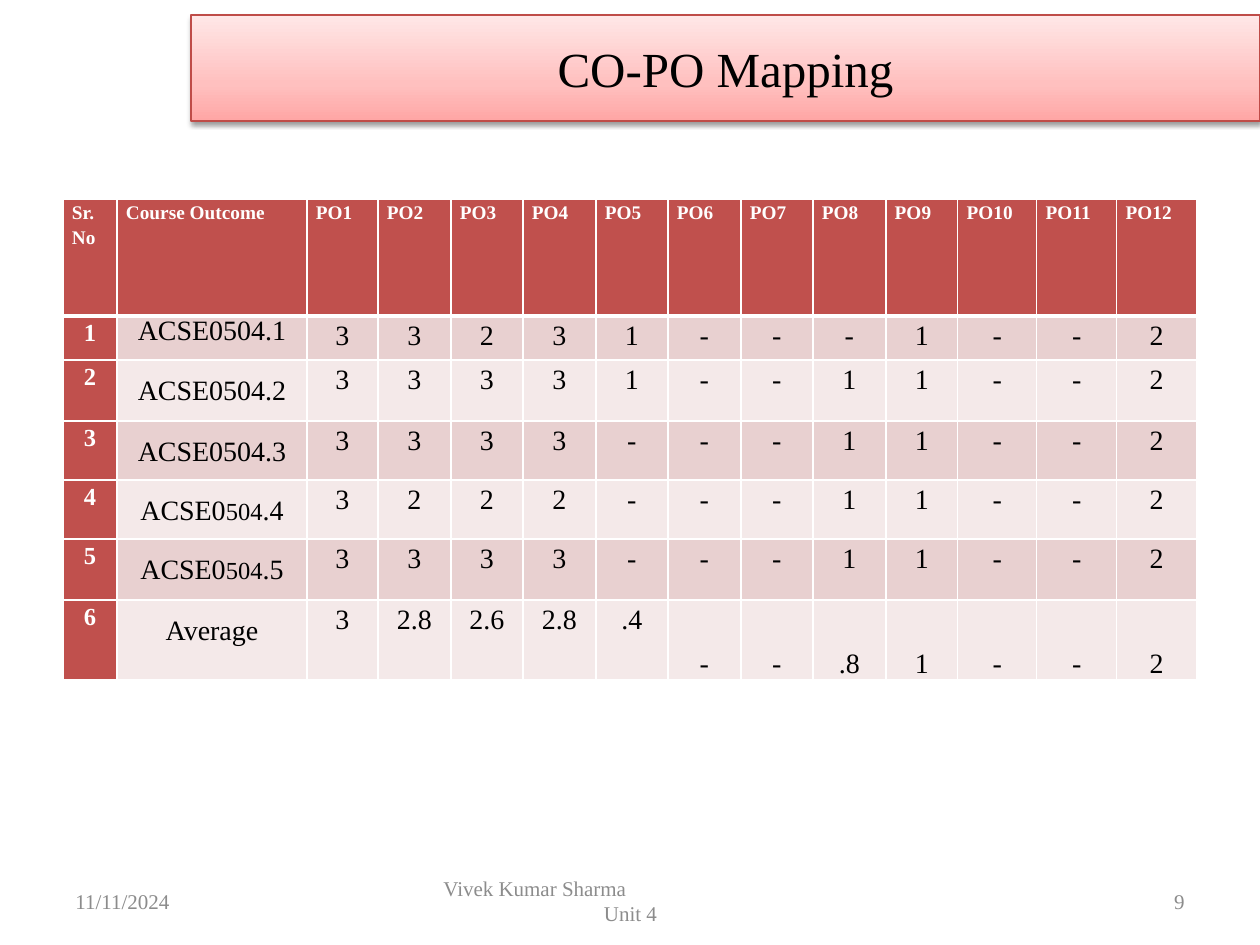
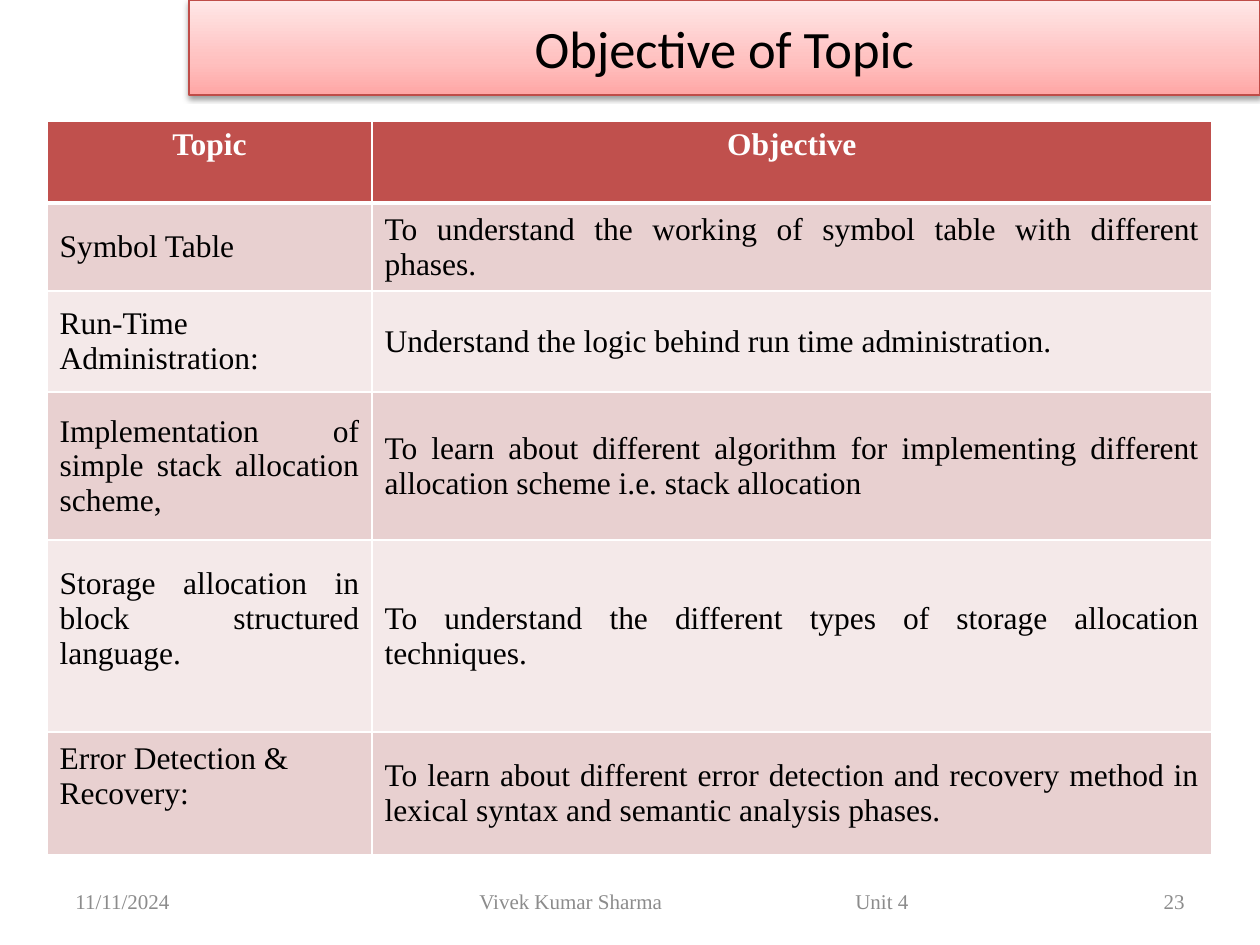
from copy import deepcopy
from itertools import product

from lxml.etree import SubElement
from pptx import Presentation
from pptx.dml.color import RGBColor
from pptx.enum.shapes import MSO_SHAPE as Shape
from pptx.enum.text import MSO_ANCHOR as Anchor, PP_ALIGN as Align
from pptx.oxml.ns import qn
from pptx.util import Emu, Pt

SERIF, SANS = "Times New Roman", "Calibri"
BLACK, WHITE, GREY = "000000", "FFFFFF", "8C8C8C"
RED, BAND_DARK, BAND_LIGHT = "C0504D", "E8D0D0", "F4E9E9"
BANNER_LINE = "BF4C48"
BANNER_STOPS = [(0, "FFA6A5"), (0.35, "FFC0BF"), (1, "FFE7E7")]

DATE, AUTHOR, UNIT = "11/11/2024", "Vivek Kumar Sharma", "Unit 4"
FOOTER_TOP, FOOTER_HEIGHT = 876, 50

OUTCOME_HEADS = ["Sr. No", "Course Outcome"] + [f"PO{n}" for n in range(1, 13)]
OUTCOMES = [
    ([("ACSE0504.1", 16)], "3 3 2 3 1 - - - 1 - - 2"),
    ([("ACSE0504.2", 16)], "3 3 3 3 1 - - 1 1 - - 2"),
    ([("ACSE0504.3", 16)], "3 3 3 3 - - - 1 1 - - 2"),
    ([("ACSE0", 16), ("504", 14), (".4", 16)], "3 2 2 2 - - - 1 1 - - 2"),
    ([("ACSE0", 16), ("504", 14), (".5", 16)], "3 3 3 3 - - - 1 1 - - 2"),
    ([("Average", 16)], "3 2.8 2.6 2.8 .4 - - .8 1 - - 2"),
]
OUTCOME_COLS = [54, 190, 71] + [73, 72] * 4 + [79, 80, 80]
OUTCOME_ROWS = [117, 44, 61, 59, 59, 61, 80]
FIRST_BOTTOM_COL = 7

TOPIC_HEADS = ["Topic", "Objective"]
TOPICS = [
    ("Symbol Table", "To understand the working of symbol table with different phases."),
    ("Run-Time Administration:", "Understand the logic behind run time administration."),
    ("Implementation of simple stack allocation scheme,",
     "To learn about different algorithm for implementing different "
     "allocation scheme i.e. stack allocation"),
    ("Storage allocation in block structured language.",
     "To understand the different types of storage allocation techniques."),
    ("Error Detection & Recovery:",
     "To learn about different error detection and recovery method in "
     "lexical syntax and semantic analysis phases."),
]
TOPIC_COLS = [325, 840]
TOPIC_ROWS = [82, 82, 101, 148, 192, 120]
LEFT_ALIGNED_TOPICS = (1, 5)
RAISED_TOPICS = (4, 5)


def px(length):
    return Emu(round(length * 914400 / 126))


def rgb(value):
    return RGBColor.from_string(value)


def add_spans(para, spans, color, font=SERIF, bold=False, align=Align.LEFT, spacing=None):
    para.alignment = align
    para.line_spacing = spacing
    for text, size in spans:
        span = para.add_run()
        span.text = text
        span.font.size = Pt(size)
        span.font.name = font
        span.font.bold = bold
        span.font.color.rgb = rgb(color)


def add_banner(page, title, size, font, left, top, width, height):
    banner = page.shapes.add_shape(Shape.RECTANGLE, px(left), px(top), px(width), px(height))
    banner.fill.gradient()
    banner.fill.gradient_angle = 90
    stop_list = banner.element.spPr.find(".//" + qn("a:gsLst"))
    stop_list.append(deepcopy(stop_list[0]))
    for stop, (position, color) in zip(banner.fill.gradient_stops, BANNER_STOPS):
        stop.position = position
        stop.color.rgb = rgb(color)
    banner.line.color.rgb = rgb(BANNER_LINE)
    banner.line.width = Pt(0.75)
    banner.shadow.inherit = False
    effects = banner.element.spPr.find(qn("a:effectLst"))
    shadow = SubElement(effects, qn("a:outerShdw"), blurRad="40000", dist="20000",
                        dir="5400000", rotWithShape="0")
    tone = SubElement(shadow, qn("a:srgbClr"), val=BLACK)
    SubElement(tone, qn("a:alpha"), val="38000")
    frame = banner.text_frame
    frame.vertical_anchor = Anchor.MIDDLE
    add_spans(frame.paragraphs[0], [(title, size)], BLACK, font, align=Align.CENTER)


def add_footer_box(page, left, width, lines):
    box = page.shapes.add_textbox(px(left), px(FOOTER_TOP), px(width), px(FOOTER_HEIGHT))
    frame = box.text_frame
    frame.word_wrap = True
    frame.vertical_anchor = Anchor.MIDDLE
    for index, (text, align) in enumerate(lines):
        para = frame.add_paragraph() if index else frame.paragraphs[0]
        add_spans(para, [(text, 12)], GREY, align=align)
    return frame


def add_footers(page, number):
    add_footer_box(page, 63, 294, [(DATE, Align.LEFT)])
    add_footer_box(page, 903, 294, [(number, Align.RIGHT)])


def add_tab_stops(para, positions):
    stops = SubElement(para._p.get_or_add_pPr(), qn("a:tabLst"))
    for position in positions:
        SubElement(stops, qn("a:tab"), pos=str(px(position)), algn="l")


def set_borders(cell, top, bottom):
    props = cell._tc.get_or_add_tcPr()
    widths = [("a:lnL", 1), ("a:lnR", 1), ("a:lnT", top), ("a:lnB", bottom)]
    for index, (side, width) in enumerate(widths):
        line = SubElement(props, qn(side), w=str(Pt(width)))
        SubElement(SubElement(line, qn("a:solidFill")), qn("a:srgbClr"), val=WHITE)
        props.insert(index, line)


def add_grid(page, left, top, cols, rows):
    frame = page.shapes.add_table(len(rows), len(cols), px(left), px(top),
                                  px(sum(cols)), px(sum(rows)))
    table = frame.table
    table.first_row = table.horz_banding = False
    for column, width in zip(table.columns, cols):
        column.width = px(width)
    for row, height in zip(table.rows, rows):
        row.height = px(height)
    for r, c in product(range(len(rows)), range(len(cols))):
        cell = table.cell(r, c)
        cell.fill.solid()
        band = BAND_DARK if r % 2 else BAND_LIGHT
        cell.fill.fore_color.rgb = rgb(RED if r == 0 else band)
        set_borders(cell, 3 if r == 1 else 1, 3 if r == 0 else 1)
    return table


def fill_outcomes(table):
    for c, head in enumerate(OUTCOME_HEADS):
        add_spans(table.cell(0, c).text_frame.paragraphs[0], [(head, 11)], WHITE,
                  bold=True, spacing=1.15)
    for r, (outcome, scores) in enumerate(OUTCOMES, 1):
        number = table.cell(r, 0)
        number.fill.fore_color.rgb = rgb(RED)
        add_spans(number.text_frame.paragraphs[0], [(str(r), 14)], WHITE,
                  bold=True, align=Align.CENTER, spacing=1.15)
        add_spans(table.cell(r, 1).text_frame.paragraphs[0], outcome, BLACK,
                  align=Align.CENTER, spacing=1.0 if r == 1 else 1.5)
        for c, score in enumerate(scores.split(), 2):
            cell = table.cell(r, c)
            add_spans(cell.text_frame.paragraphs[0], [(score, 16)], BLACK,
                      align=Align.CENTER, spacing=1.15)
            if r == len(OUTCOMES) and c >= FIRST_BOTTOM_COL:
                cell.vertical_anchor = Anchor.BOTTOM
    for cell in table.iter_cells():
        cell.margin_left = cell.margin_right = px(9)
        cell.margin_top = cell.margin_bottom = 0


def fill_topics(table):
    for c, head in enumerate(TOPIC_HEADS):
        add_spans(table.cell(0, c).text_frame.paragraphs[0], [(head, 18)], WHITE,
                  bold=True, align=Align.CENTER)
    for r, texts in enumerate(TOPICS, 1):
        for c, text in enumerate(texts):
            cell = table.cell(r, c)
            cell.vertical_anchor = Anchor.MIDDLE
            left = c == 0 and r in LEFT_ALIGNED_TOPICS
            add_spans(cell.text_frame.paragraphs[0], [(text, 18)], BLACK,
                      align=Align.LEFT if left else Align.JUSTIFY)
        if r in RAISED_TOPICS:
            table.cell(r, 0).margin_bottom = px(41)


def build_mapping(page):
    add_footers(page, "9")
    add_footer_box(page, 431, 399, [(AUTHOR, Align.LEFT), (UNIT, Align.CENTER)])
    add_banner(page, "CO-PO Mapping", 28, SERIF, 191, 15, 1069, 106)
    fill_outcomes(add_grid(page, 63, 199, OUTCOME_COLS, OUTCOME_ROWS))


def build_objectives(page):
    add_footers(page, "23")
    add_banner(page, "Objective of Topic", 30, SANS, 189, 0, 1071, 95)
    fill_topics(add_grid(page, 47, 121, TOPIC_COLS, TOPIC_ROWS))
    frame = add_footer_box(page, 347, 693, [(f"\t{AUTHOR}\t{UNIT}", Align.LEFT)])
    add_tab_stops(frame.paragraphs[0], [120, 496])


def main():
    deck = Presentation()
    deck.slide_width, deck.slide_height = px(1260), px(945)
    for build in (build_mapping, build_objectives):
        build(deck.slides.add_slide(deck.slide_layouts[6]))
    deck.save("out.pptx")


if __name__ == "__main__":
    main()
